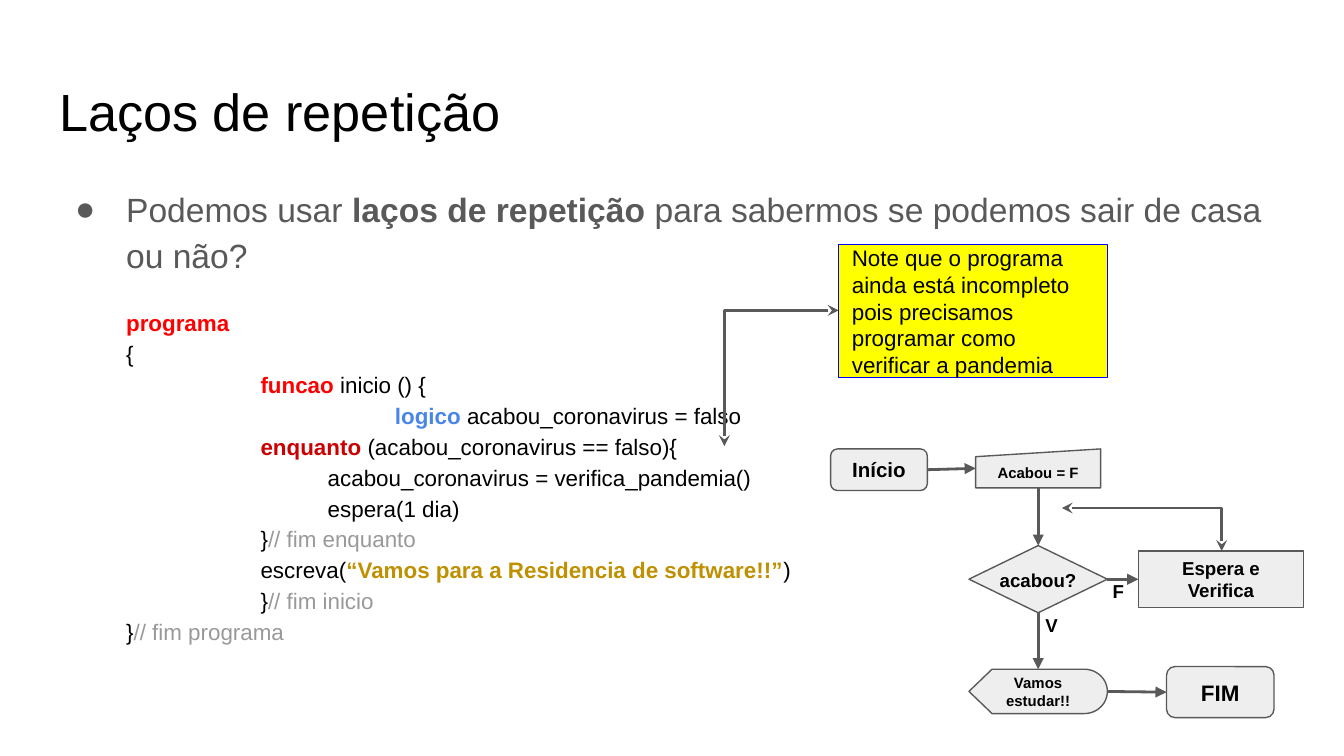
from lxml import etree
from pptx import Presentation
from pptx.dml.color import RGBColor
from pptx.enum.shapes import MSO_CONNECTOR, MSO_SHAPE
from pptx.enum.text import MSO_ANCHOR, PP_ALIGN
from pptx.oxml.ns import qn
from pptx.util import Inches, Pt

FONT = "Arial"
COLORS = {
    "black": "000000",
    "gray": "595959",
    "comment": "999999",
    "red": "FF0000",
    "dark red": "CC0000",
    "blue": "4A86E8",
    "gold": "BF9000",
    "node": "EEEEEE",
    "note": "FFFF00",
    "note border": "0000FF",
}
TOP, LEFT, BOTTOM, RIGHT = range(4)

# Each code line: left margin, first-line indent, then (text, colour, bold) runs
CODE = [
    (0.5, 0, [("programa", "red", True)]),
    (0.5, 0, [("{", "black", False)]),
    (0.5, 0, [("\t", "black", False), ("funcao", "red", True),
              (" inicio () {", "black", False)]),
    (0.5, 0, [("\t\t", "black", False), ("logico", "blue", True),
              (" acabou_coronavirus = falso", "black", False)]),
    (1, 0.5, [("enquanto", "dark red", True),
              (" (acabou_coronavirus == falso){", "black", False)]),
    (1, 0.5, [("\tacabou_coronavirus = verifica_pandemia()", "black", False)]),
    (1, 0.5, [("\tespera(1 dia)", "black", False)]),
    (1, 0.5, [("}", "black", False), ("// fim enquanto", "comment", False)]),
    (1, 0.5, [("escreva(", "black", False),
              ("“Vamos para a Residencia de software!!”", "gold", True),
              (")\t\t", "black", False)]),
    (0.5, 0, [("\t}", "black", False), ("// fim inicio", "comment", False)]),
    (0.5, 0, [("}", "black", False), ("// fim programa", "comment", False)]),
]


def rgb(name):
    return RGBColor.from_string(COLORS[name])


def set_font(font, size, color="black", bold=False):
    font.name = FONT
    font.size = Pt(size)
    font.bold = bold
    font.color.rgb = rgb(color)


def prepare_frame(frame, anchor=MSO_ANCHOR.TOP):
    """Wrap the text and give it equal insets on all sides."""
    frame.word_wrap = True
    frame.vertical_anchor = anchor
    frame.margin_left = frame.margin_right = Inches(0.1)
    frame.margin_top = frame.margin_bottom = Inches(0.1)


def add_title(slide, text):
    title = slide.shapes.title
    title.left, title.top = Inches(0.34), Inches(0.49)
    title.width, title.height = Inches(9.32), Inches(0.63)
    prepare_frame(title.text_frame)
    title.text_frame.text = text
    paragraph = title.text_frame.paragraphs[0]
    paragraph.alignment = PP_ALIGN.LEFT
    set_font(paragraph.font, 28)


def fill_paragraph(paragraph, margin, indent, runs, size):
    paragraph.line_spacing = 1.15
    properties = paragraph._p.get_or_add_pPr()
    properties.set("marL", str(Inches(margin)))
    properties.set("indent", str(Inches(indent)))
    properties.set("defTabSz", str(Inches(1)))
    for text, color, bold in runs:
        run = paragraph.add_run()
        run.text = text
        set_font(run.font, size, color, bold)


def add_bullet(paragraph, color):
    properties = paragraph._p.get_or_add_pPr()
    bullet_color = etree.SubElement(properties, qn("a:buClr"))
    etree.SubElement(bullet_color, qn("a:srgbClr"), val=COLORS[color])
    etree.SubElement(properties, qn("a:buFont"), typeface=FONT)
    etree.SubElement(properties, qn("a:buChar"), char="●")


def add_question_and_code(slide):
    body = slide.shapes.add_textbox(Inches(0.34), Inches(1.26), Inches(9.32), Inches(3.74))
    frame = body.text_frame
    prepare_frame(frame)
    question = frame.paragraphs[0]
    fill_paragraph(question, 0.5, -0.38, [
        ("Podemos usar ", "gray", False),
        ("laços de repetição", "gray", True),
        (" para sabermos se podemos sair de casa ou não?", "gray", False),
    ], 18)
    add_bullet(question, "gray")
    for margin, indent, runs in CODE:
        fill_paragraph(frame.add_paragraph(), margin, indent, runs, 12)
    frame.paragraphs[1].space_before = Pt(16)


def add_box(slide, kind, left, top, width, height, text="", size=10, bold=True,
            fill="node", border="gray", align=PP_ALIGN.CENTER):
    box = slide.shapes.add_shape(kind, Inches(left), Inches(top), Inches(width), Inches(height))
    box.shadow.inherit = False
    box.fill.solid()
    box.fill.fore_color.rgb = rgb(fill)
    box.line.color.rgb = rgb(border)
    box.line.width = Pt(0.75)
    prepare_frame(box.text_frame, MSO_ANCHOR.MIDDLE)
    if text:
        box.text_frame.text = text
        paragraph = box.text_frame.paragraphs[0]
        paragraph.alignment = align
        set_font(paragraph.font, size, bold=bold)
    return box


def add_label(slide, text, left, top, width, height):
    label = slide.shapes.add_textbox(Inches(left), Inches(top), Inches(width), Inches(height))
    prepare_frame(label.text_frame)
    label.text_frame.text = text
    set_font(label.text_frame.paragraphs[0].font, 10, bold=True)


def style_connector(connector, **ends):
    """Set the line and the arrowheads, given as headEnd and tailEnd."""
    connector.line.color.rgb = rgb("gray")
    connector.line.width = Pt(1.5)
    line = connector.line._get_or_add_ln()
    for end, arrow in ends.items():
        etree.SubElement(line, qn(f"a:{end}"), type=arrow)
    etree.SubElement(connector._element.spPr, qn("a:effectLst"))


def add_flow(slide, source, source_side, target, target_side):
    flow = slide.shapes.add_connector(MSO_CONNECTOR.STRAIGHT, 0, 0, 0, 0)
    flow.begin_connect(source, source_side)
    flow.end_connect(target, target_side)
    style_connector(flow, tailEnd="triangle")


def add_corner_arrow(slide, x1, y1, x2, y2):
    """Run horizontally from the start, then vertically to the end."""
    corner = slide.shapes.add_connector(
        MSO_CONNECTOR.ELBOW, Inches(x1), Inches(y1), Inches(x2), Inches(y2))
    corner._element.spPr.find(qn("a:prstGeom")).set("prst", "bentConnector2")
    style_connector(corner, headEnd="stealth", tailEnd="stealth")


def add_flowchart(slide):
    start = add_box(slide, MSO_SHAPE.ROUNDED_RECTANGLE, 6.18, 3.34, 0.72, 0.31, "Início", 11)
    assign = add_box(slide, MSO_SHAPE.FLOWCHART_MANUAL_INPUT, 7.26, 3.34, 0.93, 0.29,
                     "Acabou = F", 8)
    study = add_box(slide, MSO_SHAPE.FLOWCHART_DISPLAY, 7.21, 4.98, 1.03, 0.33,
                    "Vamos estudar!!", 8)
    end = add_box(slide, MSO_SHAPE.ROUNDED_RECTANGLE, 8.68, 4.96, 0.8, 0.38, "FIM", 12)
    decision = add_box(slide, MSO_SHAPE.FLOWCHART_DECISION, 7.21, 4.06, 1.03, 0.5)
    wait = add_box(slide, MSO_SHAPE.RECTANGLE, 8.47, 4.1, 1.23, 0.42, "Espera e Verifica")

    add_flow(slide, start, RIGHT, assign, LEFT)
    add_flow(slide, study, RIGHT, end, LEFT)
    add_flow(slide, assign, BOTTOM, decision, TOP)
    add_flow(slide, decision, BOTTOM, study, TOP)
    add_flow(slide, decision, RIGHT, wait, LEFT)
    add_corner_arrow(slide, 7.9, 3.78, 9.09, 4.1)

    add_label(slide, "acabou?", 7.34, 4.15, 1.11, 0.29)
    add_label(slide, "V", 7.68, 4.48, 0.25, 0.19)
    add_label(slide, "F", 8.18, 4.23, 0.25, 0.19)


def main():
    presentation = Presentation()
    presentation.slide_width = Inches(10)
    presentation.slide_height = Inches(10) * 9 // 16
    slide = presentation.slides.add_slide(presentation.slide_layouts[5])

    add_title(slide, "Laços de repetição")
    add_question_and_code(slide)
    add_corner_arrow(slide, 6.24, 2.31, 5.39, 3.32)
    add_box(slide, MSO_SHAPE.RECTANGLE, 6.24, 1.82, 2, 0.99,
            "Note que o programa ainda está incompleto pois precisamos "
            "programar como verificar a pandemia",
            12, False, "note", "note border", PP_ALIGN.LEFT)
    add_flowchart(slide)
    presentation.save("out.pptx")


if __name__ == "__main__":
    main()
